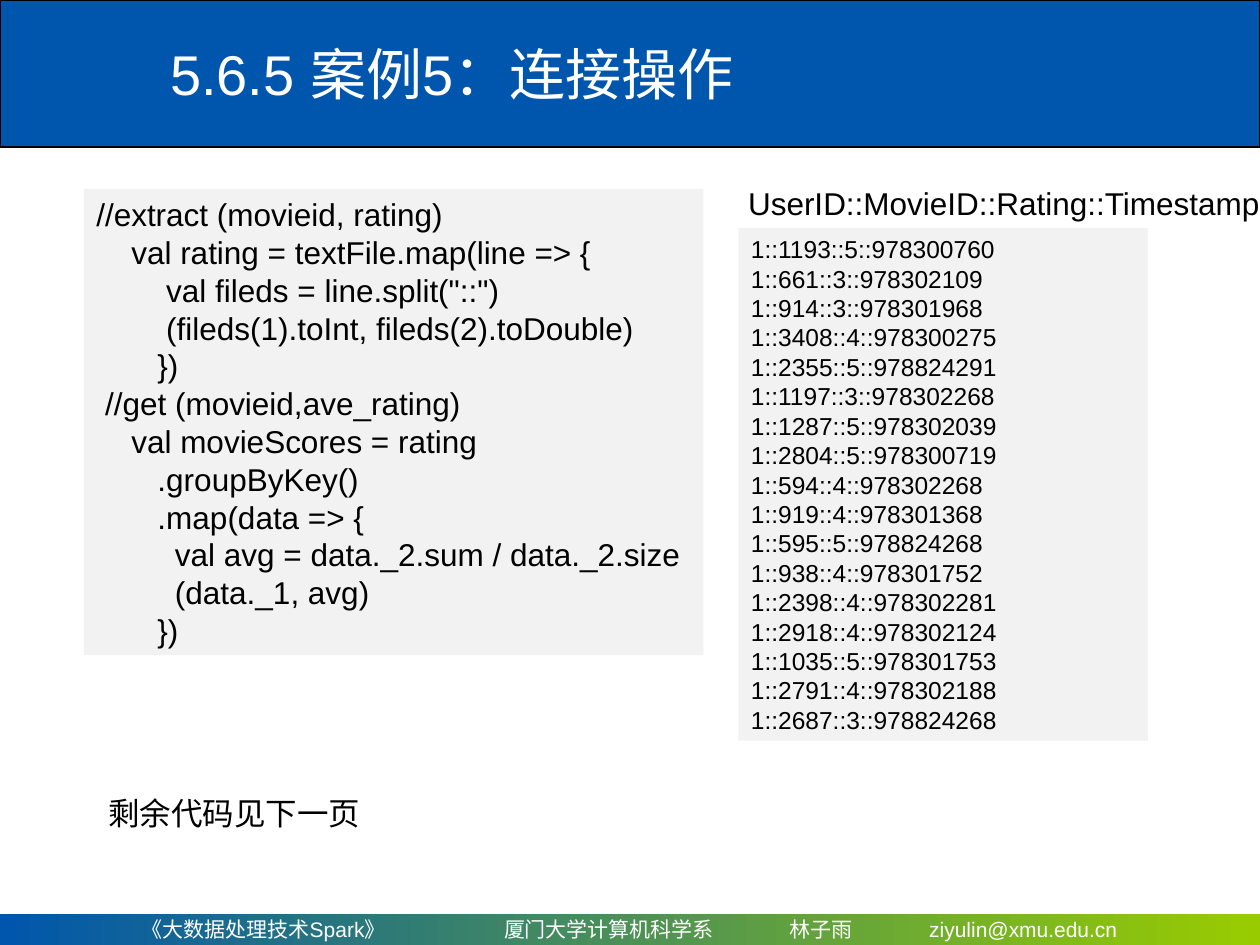
from pptx import Presentation
from pptx.dml.color import RGBColor
from pptx.enum.shapes import MSO_SHAPE
from pptx.enum.text import MSO_ANCHOR, MSO_AUTO_SIZE, PP_ALIGN
from pptx.oxml import parse_xml
from pptx.oxml.ns import nsdecls
from pptx.util import Pt

BLUE = RGBColor(0x00, 0x56, 0xAC)
GREEN = RGBColor(0x99, 0xCC, 0x00)
PANEL_GREY = RGBColor(0xF2, 0xF2, 0xF2)
BLACK = RGBColor(0x00, 0x00, 0x00)
WHITE = RGBColor(0xFF, 0xFF, 0xFF)
FONT_NAME = "Arial"

CODE = """//extract (movieid, rating)
    val rating = textFile.map(line => {
        val fileds = line.split("::")
        (fileds(1).toInt, fileds(2).toDouble)
       })
 //get (movieid,ave_rating)
    val movieScores = rating
       .groupByKey()
       .map(data => {
         val avg = data._2.sum / data._2.size
         (data._1, avg)
       })"""

RATINGS = """1::1193::5::978300760
1::661::3::978302109
1::914::3::978301968
1::3408::4::978300275
1::2355::5::978824291
1::1197::3::978302268
1::1287::5::978302039
1::2804::5::978300719
1::594::4::978302268
1::919::4::978301368
1::595::5::978824268
1::938::4::978301752
1::2398::4::978302281
1::2918::4::978302124
1::1035::5::978301753
1::2791::4::978302188
1::2687::3::978824268"""

FOOTER_PARTS = ["《大数据处理技术Spark》", "厦门大学计算机科学系", "林子雨", "ziyulin@xmu.edu.cn"]
FOOTER_INDENT = 81
FOOTER_TABS = [207, 370, 450]


def write_lines(text_frame, lines, size, color):
    """Write each line as one left-aligned paragraph."""
    for index, line in enumerate(lines):
        paragraph = text_frame.paragraphs[0] if index == 0 else text_frame.add_paragraph()
        paragraph.alignment = PP_ALIGN.LEFT
        run = paragraph.add_run()
        run.text = line
        run.font.name = FONT_NAME
        run.font.size = Pt(size)
        run.font.color.rgb = color


def add_rectangle(slide, box):
    """Add a plain rectangle without shadow or outline."""
    shape = slide.shapes.add_shape(MSO_SHAPE.RECTANGLE, *map(Pt, box))
    shape.shadow.inherit = False
    shape.line.fill.background()
    return shape


def add_header(slide, box, title_box, text):
    """Place the blue banner with the slide title on top of it."""
    banner = add_rectangle(slide, box)
    banner.fill.solid()
    banner.fill.fore_color.rgb = BLUE
    banner.line.color.rgb = BLACK
    banner.line.width = Pt(0.75)

    title = slide.shapes.title
    title.left, title.top, title.width, title.height = map(Pt, title_box)
    title.text_frame.vertical_anchor = MSO_ANCHOR.MIDDLE
    title.text_frame.auto_size = MSO_AUTO_SIZE.NONE
    write_lines(title.text_frame, [text], 32, WHITE)
    banner.element.addnext(title.element)


def add_footer(slide, box):
    """Place the gradient strip with its parts aligned on tab stops."""
    footer = add_rectangle(slide, box)
    footer.fill.gradient()
    footer.fill.gradient_angle = 0
    for stop, color, position in zip(footer.fill.gradient_stops, (BLUE, GREEN), (0, 1)):
        stop.color.rgb = color
        stop.position = position

    text_frame = footer.text_frame
    text_frame.word_wrap = True
    text_frame.margin_left = Pt(FOOTER_INDENT)
    text_frame.vertical_anchor = MSO_ANCHOR.MIDDLE
    stops = "".join(f'<a:tab pos="{Pt(tab)}" algn="l"/>' for tab in FOOTER_TABS)
    properties = text_frame.paragraphs[0]._p.get_or_add_pPr()
    properties.append(parse_xml(f'<a:tabLst {nsdecls("a")}>{stops}</a:tabLst>'))
    write_lines(text_frame, ["\t".join(FOOTER_PARTS)], 12, WHITE)


def add_panel(slide, box, text, size):
    """Place a grey panel of text lines."""
    panel = add_rectangle(slide, box)
    panel.fill.solid()
    panel.fill.fore_color.rgb = PANEL_GREY
    panel.text_frame.word_wrap = True
    panel.text_frame.vertical_anchor = MSO_ANCHOR.TOP
    panel.text_frame.auto_size = MSO_AUTO_SIZE.SHAPE_TO_FIT_TEXT
    write_lines(panel.text_frame, text.splitlines(), size, BLACK)


def add_label(slide, box, text):
    """Place one unwrapped line of text."""
    label = slide.shapes.add_textbox(*map(Pt, box))
    label.text_frame.word_wrap = False
    label.text_frame.auto_size = MSO_AUTO_SIZE.SHAPE_TO_FIT_TEXT
    write_lines(label.text_frame, [text], 18, BLACK)


def main():
    """Build the slide and save it."""
    presentation = Presentation()
    presentation.slide_width = Pt(720)
    presentation.slide_height = Pt(540)
    slide = presentation.slides.add_slide(presentation.slide_layouts[5])

    add_header(slide, (0, 0, 720, 84), (90, 6, 630, 72), "5.6.5 案例5：连接操作")
    add_footer(slide, (0, 522, 720, 18))
    add_panel(slide, (48, 108, 354, 266.4), CODE, 18)
    add_label(slide, (54.7, 450, 158.4, 29), "剩余代码见下一页")
    add_panel(slide, (422, 130.3, 234, 293), RATINGS, 14)
    add_label(slide, (420.4, 101.5, 307.4, 29), "UserID::MovieID::Rating::Timestamp")

    presentation.save("out.pptx")


if __name__ == "__main__":
    main()
